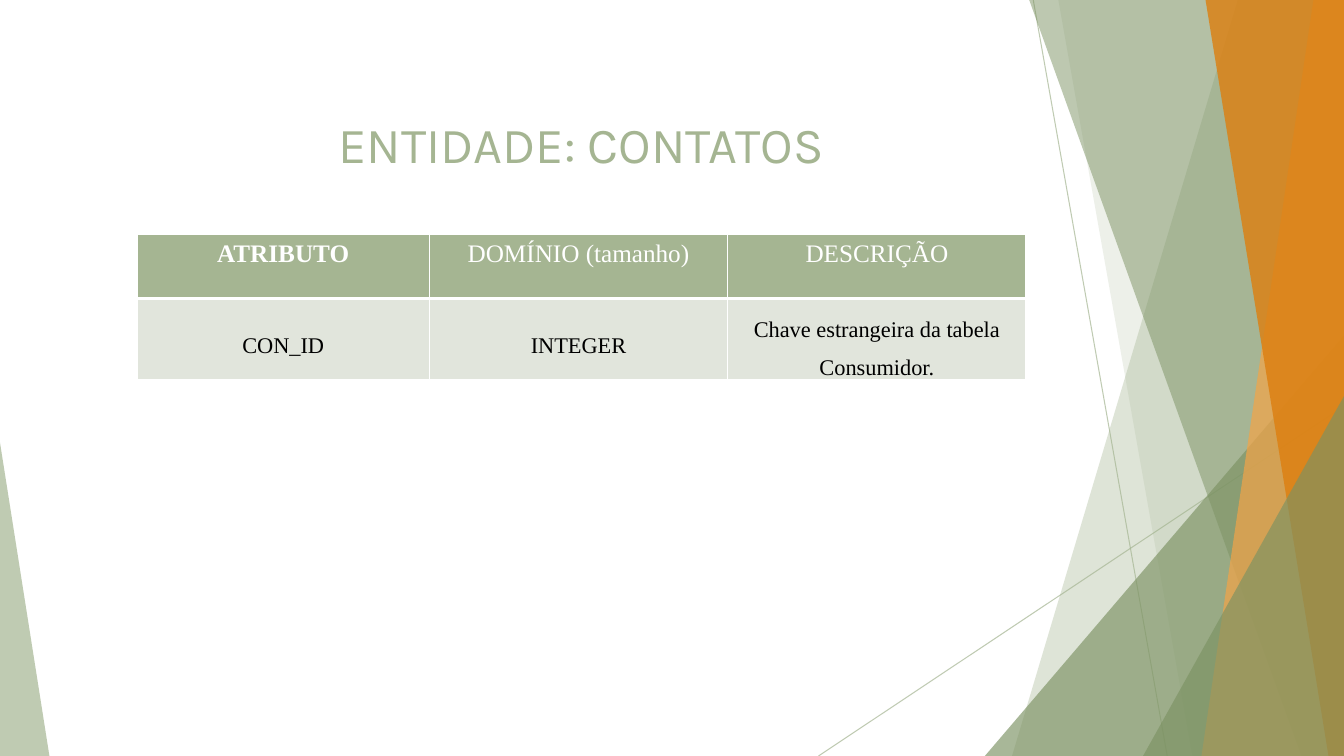
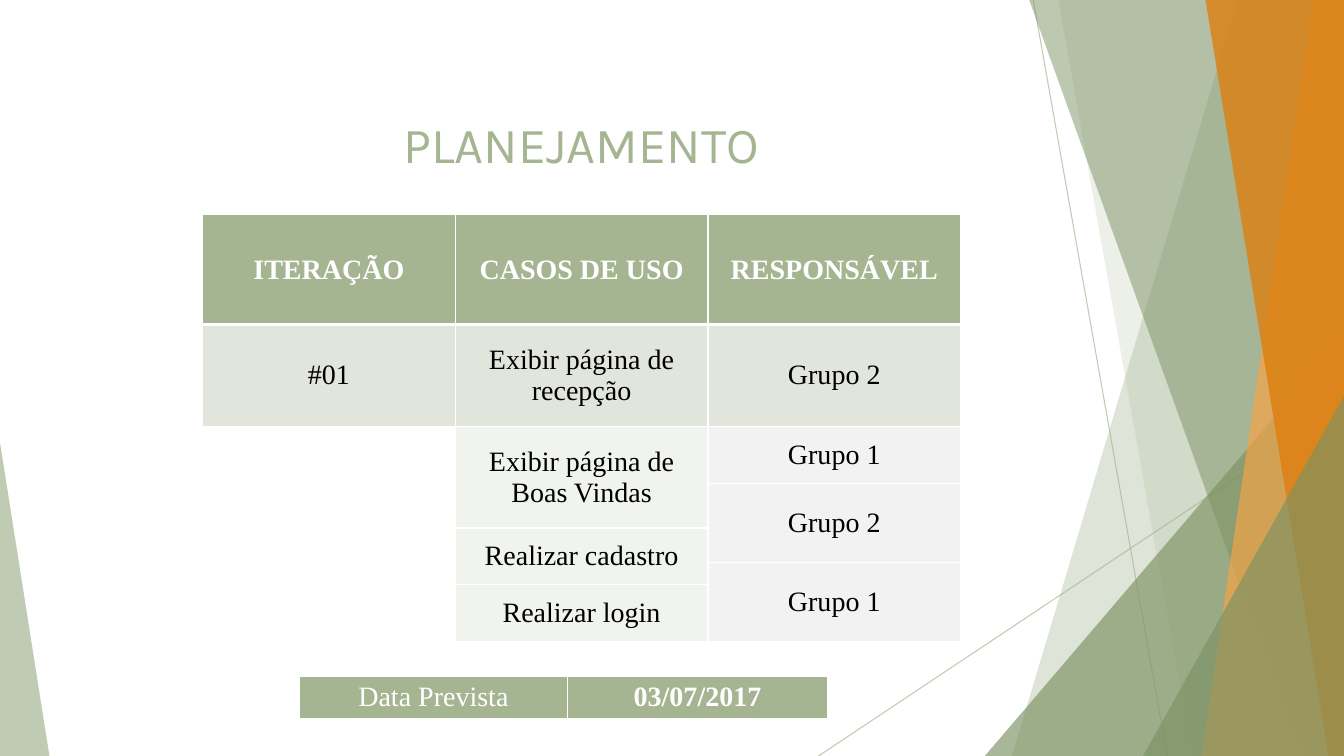
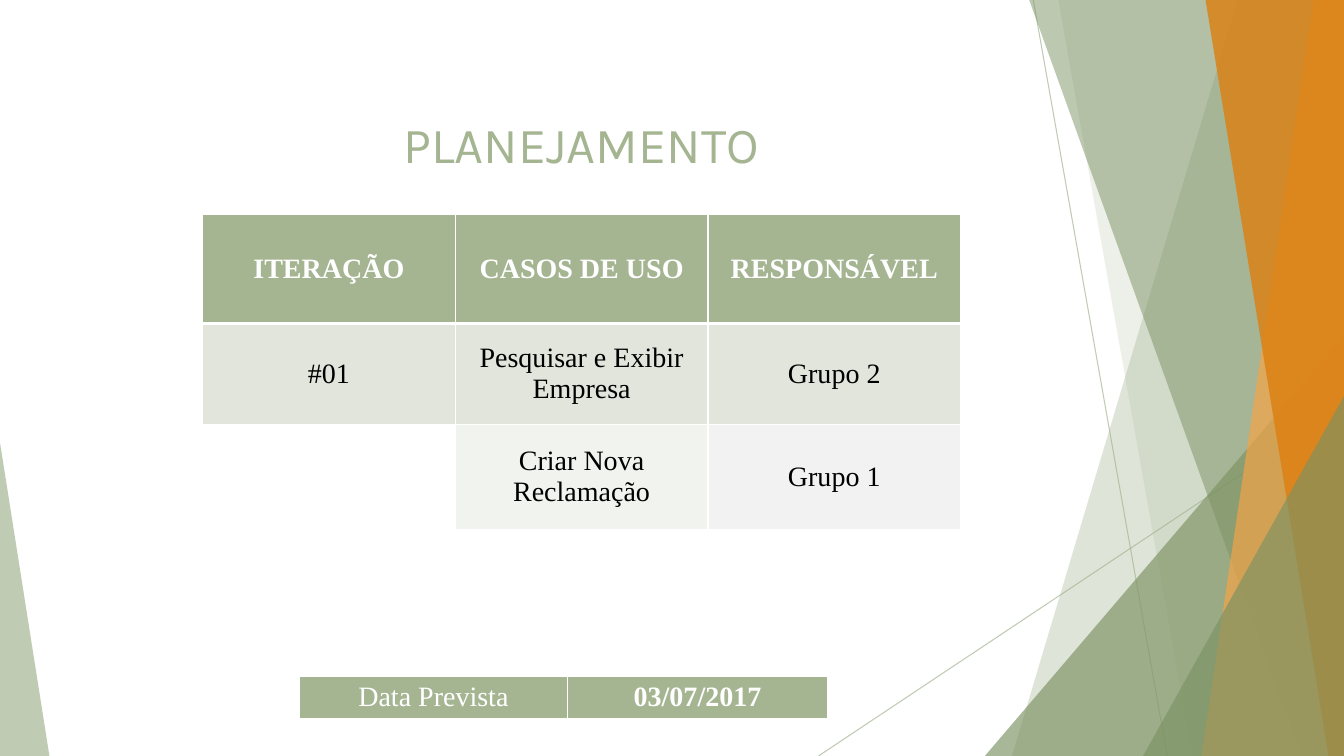
from dataclasses import dataclass, replace
from lxml import etree
from pptx import Presentation
from pptx.dml.color import RGBColor
from pptx.enum.shapes import MSO_CONNECTOR, MSO_SHAPE
from pptx.enum.text import MSO_ANCHOR, PP_ALIGN
from pptx.oxml.ns import qn
from pptx.util import Inches, Pt

W, H = Inches(13.333), Inches(7.5)
SAGE = RGBColor(0xA5, 0xB5, 0x92)
MOSS = RGBColor(0x7C, 0x92, 0x63)
AMBER = RGBColor(0xF3, 0xA4, 0x47)
ORANGE = RGBColor(0xDD, 0x7E, 0x0E)
BAND_DARK = RGBColor(0xE1, 0xE5, 0xDC)
BAND_LIGHT = RGBColor(0xF0, 0xF3, 0xEE)
GRAY = RGBColor(0xF2, 0xF2, 0xF2)
WHITE = RGBColor(0xFF, 0xFF, 0xFF)
BLACK = RGBColor(0, 0, 0)
TITLE_FONT, TABLE_FONT = "Karla", "Times New Roman"
TOP, MIDDLE, BOTTOM = MSO_ANCHOR.TOP, MSO_ANCHOR.MIDDLE, MSO_ANCHOR.BOTTOM
CENTER = PP_ALIGN.CENTER
STRAIGHT, TRIANGLE = MSO_CONNECTOR.STRAIGHT, MSO_SHAPE.ISOSCELES_TRIANGLE

TITLE_BOX = (3.38, 14.27, 79.73, 9.47)
ENTITY_BOX = (10.2, 31.07, 66.15, 19.07)
PLAN_BOX = (15.08, 28.4, 56.4, 56.53)
DATE_BOX = (22.28, 89.47, 39.3, 5.73)

RAYS = [(76.88, 0, 86.85, 100), (100, 53.73, 60.9, 100)]
BACK_BANDS = [(92.1, 75.3, SAGE, 36), (78.75, 88.73, SAGE, 20)]
FRONT_BANDS = [(76.58, 96.83, MOSS, 50), (97.73, 89.4, AMBER, 70),
               (89.7, 98.85, ORANGE, 80)]


@dataclass
class Style:
    fill: RGBColor
    color: RGBColor = BLACK
    size: int = 20
    bold: bool = False
    anchor: int = MIDDLE
    spacing: float = 1.0
    margins: tuple = (0.1, 0.05, 0.1, 0.05)
    bottom_line: int = 1


HEAD = Style(SAGE, WHITE, bold=True, bottom_line=3)
HEAD_PLAIN = replace(HEAD, bold=False)
ENTITY_KEY = replace(HEAD, size=18, anchor=TOP)
ENTITY_HEAD = replace(ENTITY_KEY, bold=False)
ENTITY_BODY = Style(BAND_DARK, size=16, spacing=1.5, margins=(0.01, 0.01, 0.01, 0))
ENTITY_NOTE = replace(ENTITY_BODY, anchor=BOTTOM, margins=(0.06, 0.01, 0.06, 0))
FIRST, CASE, GROUP, EMPTY = (Style(c) for c in (BAND_DARK, BAND_LIGHT, GRAY, WHITE))


def px(share):
    return round(W * share / 100)


def py(share):
    return round(H * share / 100)


def place(box):
    x, y, w, h = box
    return px(x), py(y), px(w), py(h)


def set_alpha(color_parent, percent):
    color = next(color_parent.iter(qn("a:srgbClr")))
    etree.SubElement(color, qn("a:alpha")).set("val", str(percent * 1000))


def paint(sp, color, alpha):
    sp.shadow.inherit = False
    sp.fill.solid()
    sp.fill.fore_color.rgb = color
    sp.line.fill.background()
    set_alpha(sp.fill._xPr, alpha)


def add_ray(s, x1, y1, x2, y2):
    line = s.shapes.add_connector(STRAIGHT, px(x1), py(y1), px(x2), py(y2))
    line.line.color.rgb = SAGE
    line.line.width = Pt(0.75)
    sp_pr = line._element.spPr
    set_alpha(sp_pr, 70)
    etree.SubElement(sp_pr, qn("a:effectLst"))


def add_band(s, top_x, bottom_x, color, alpha):
    builder = s.shapes.build_freeform(px(top_x), 0)
    builder.add_line_segments([(W, 0), (W, H), (px(bottom_x), H)], close=True)
    paint(builder.convert_to_shape(), color, alpha)


def add_corner(s, x, y, w, apex, color, alpha):
    sp = s.shapes.add_shape(TRIANGLE, *place((x, y, w, 100 - y)))
    sp.adjustments[0] = apex
    paint(sp, color, alpha)


def add_backdrop(s):
    for ray in RAYS:
        add_ray(s, *ray)
    for band in BACK_BANDS:
        add_band(s, *band)
    add_corner(s, 73.28, 44.4, 26.72, 1, MOSS, 66)
    for band in FRONT_BANDS:
        add_band(s, *band)
    add_corner(s, 85.05, 52.4, 14.95, 1, MOSS, 66)
    add_corner(s, 0, 58.53, 3.68, 0, SAGE, 70)


def write(tf, text, font, size, color, bold=False, spacing=1.0):
    p = tf.paragraphs[0]
    p.alignment = CENTER
    p.line_spacing = spacing
    r = p.add_run()
    r.text = text
    r.font.name = font
    r.font.size = Pt(size)
    r.font.bold = bold
    r.font.color.rgb = color


def add_title(s, text):
    tf = s.shapes.add_textbox(*place(TITLE_BOX)).text_frame
    tf.word_wrap = True
    tf.vertical_anchor = MIDDLE
    write(tf, text, TITLE_FONT, 36, SAGE)


def set_borders(cell, bottom):
    tc_pr = cell._tc.get_or_add_tcPr()
    sides = [("L", 1), ("R", 1), ("T", 1), ("B", bottom)]
    for i, (side, width) in enumerate(sides):
        ln = etree.Element(qn(f"a:ln{side}"), w=str(Pt(width)))
        fill = etree.SubElement(ln, qn("a:solidFill"))
        etree.SubElement(fill, qn("a:srgbClr"), val=str(WHITE))
        tc_pr.insert(i, ln)


def fill_cell(cell, text, style):
    cell.fill.solid()
    cell.fill.fore_color.rgb = style.fill
    cell.vertical_anchor = style.anchor
    (cell.margin_left, cell.margin_top,
     cell.margin_right, cell.margin_bottom) = map(Inches, style.margins)
    set_borders(cell, style.bottom_line)
    if text:
        write(cell.text_frame, text, TABLE_FONT, style.size, style.color,
              style.bold, style.spacing)


def add_grid(s, box, cols, rows, cells):
    x, y, w, h = place(box)
    table = s.shapes.add_table(len(rows), len(cols), x, y, w, h).table
    table.first_row = table.horz_banding = False
    for col, share in zip(table.columns, cols):
        col.width = round(w * share / sum(cols))
    for row, share in zip(table.rows, rows):
        row.height = round(h * share / sum(rows))
    for cell in table.iter_cells():
        cell.fill.background()
    for row, col, span, text, style in cells:
        cell = table.cell(row, col)
        if span > 1:
            cell.merge(table.cell(row + span - 1, col))
        fill_cell(cell, text, style)


def new_slide(prs, title):
    s = prs.slides.add_slide(prs.slide_layouts[6])
    add_backdrop(s)
    add_title(s, title)
    return s


def entity_slide(prs):
    s = new_slide(prs, "ENTIDADE: CONTATOS")
    add_grid(s, ENTITY_BOX, [2.9, 2.96, 2.96], [0.63, 0.8], [
        (0, 0, 1, "ATRIBUTO", ENTITY_KEY),
        (0, 1, 1, "DOMÍNIO (tamanho)", ENTITY_HEAD),
        (0, 2, 1, "DESCRIÇÃO", ENTITY_HEAD),
        (1, 0, 1, "CON_ID", ENTITY_BODY),
        (1, 1, 1, "INTEGER", ENTITY_BODY),
        (1, 2, 1, "Chave estrangeira da tabela Consumidor.", ENTITY_NOTE),
    ])


def plan_slide(prs, first_case, fourth_row, later_cells):
    s = new_slide(prs, "PLANEJAMENTO")
    heads = ["ITERAÇÃO", "CASOS DE USO", "RESPONSÁVEL"]
    firsts = ["#01", first_case, "Grupo 2"]
    cells = [(0, i, 1, text, HEAD) for i, text in enumerate(heads)]
    cells += [(1, i, 1, text, FIRST) for i, text in enumerate(firsts)]
    cells += [(row, 0, span, "", EMPTY) for row, span in [(2, 1), (3, 2), (5, 2)]]
    rows = [1.09, 1.01, 0.57, fourth_row, 0.34, 0.22, 0.57]
    add_grid(s, PLAN_BOX, [1, 1, 1], rows, cells + later_cells)
    add_grid(s, DATE_BOX, [2.66, 2.58], [1], [
        (0, 0, 1, "Data Prevista", replace(HEAD_PLAIN, anchor=TOP)),
        (0, 1, 1, "03/07/2017", replace(HEAD, anchor=TOP)),
    ])


def main():
    prs = Presentation()
    prs.slide_width, prs.slide_height = W, H
    entity_slide(prs)
    plan_slide(prs, "Exibir página de recepção", 0.44, [
        (2, 1, 2, "Exibir página de Boas Vindas", CASE),
        (4, 1, 2, "Realizar cadastro", CASE),
        (6, 1, 1, "Realizar login", CASE),
        (2, 2, 1, "Grupo 1", GROUP),
        (3, 2, 2, "Grupo 2", GROUP),
        (5, 2, 2, "Grupo 1", GROUP),
    ])
    plan_slide(prs, "Pesquisar e Exibir Empresa", 0.48, [
        (2, 1, 2, "Criar Nova Reclamação", CASE),
        (4, 1, 2, "", EMPTY),
        (2, 2, 2, "Grupo 1", GROUP),
        (4, 2, 3, "", EMPTY),
    ])
    prs.save("out.pptx")


if __name__ == "__main__":
    main()
